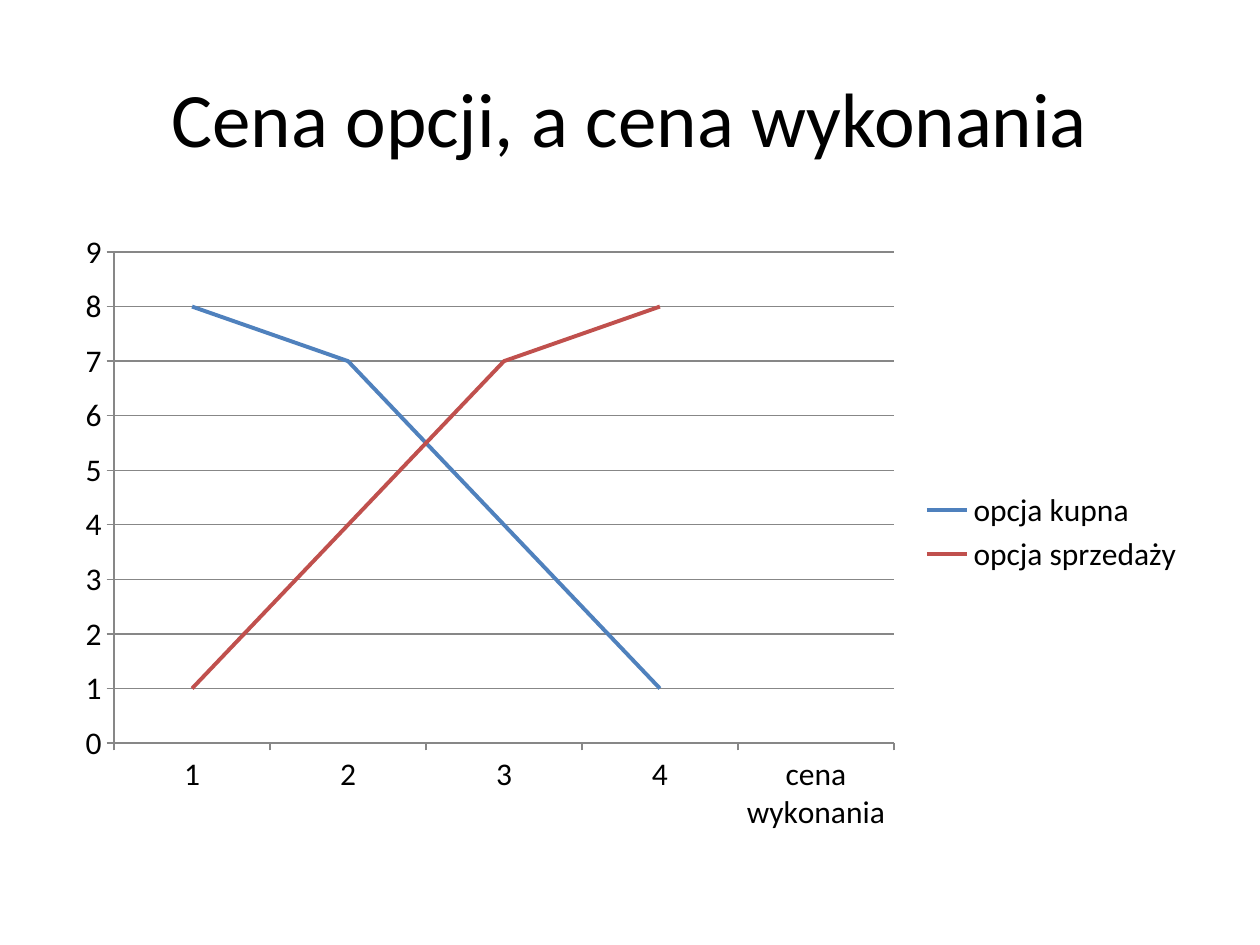
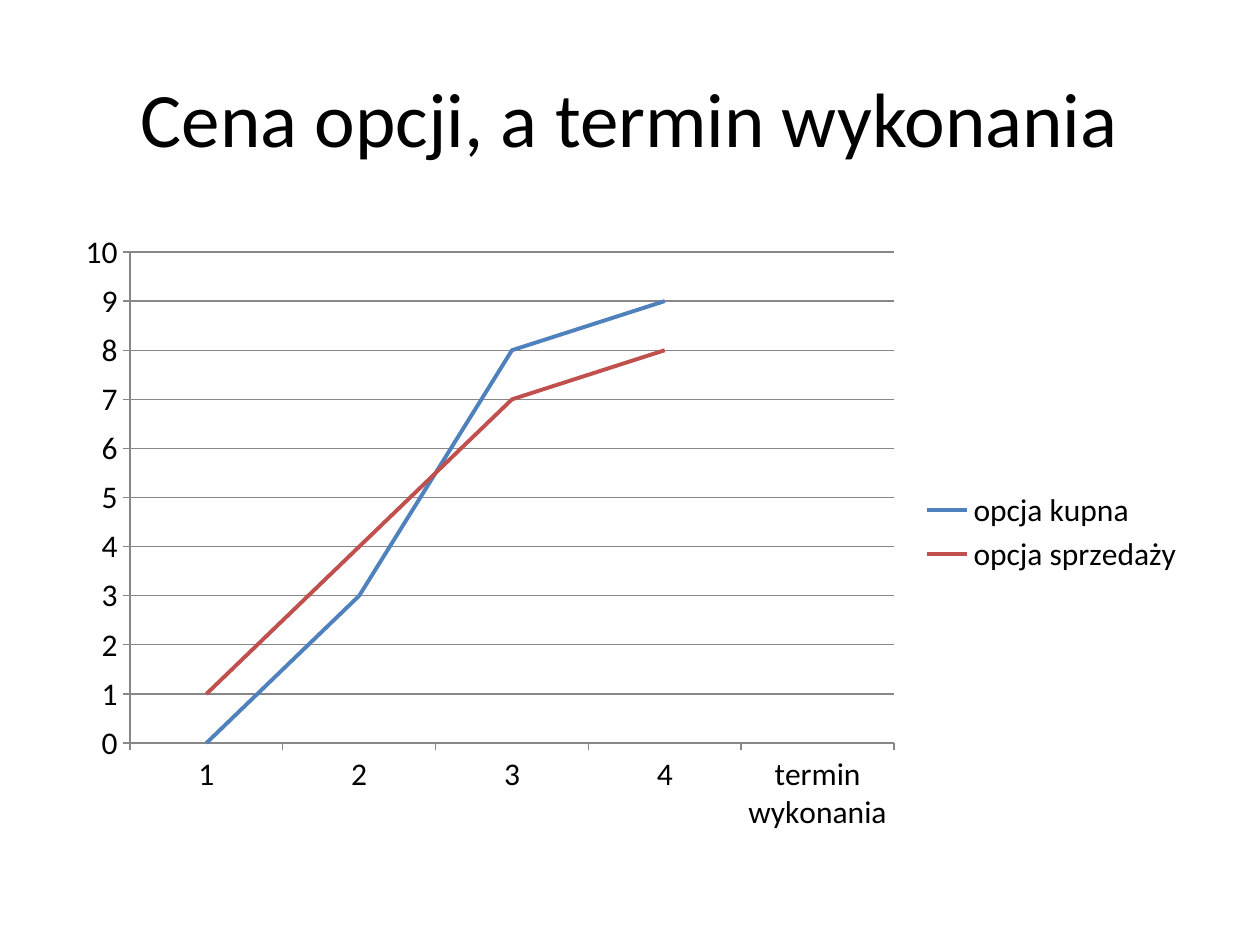
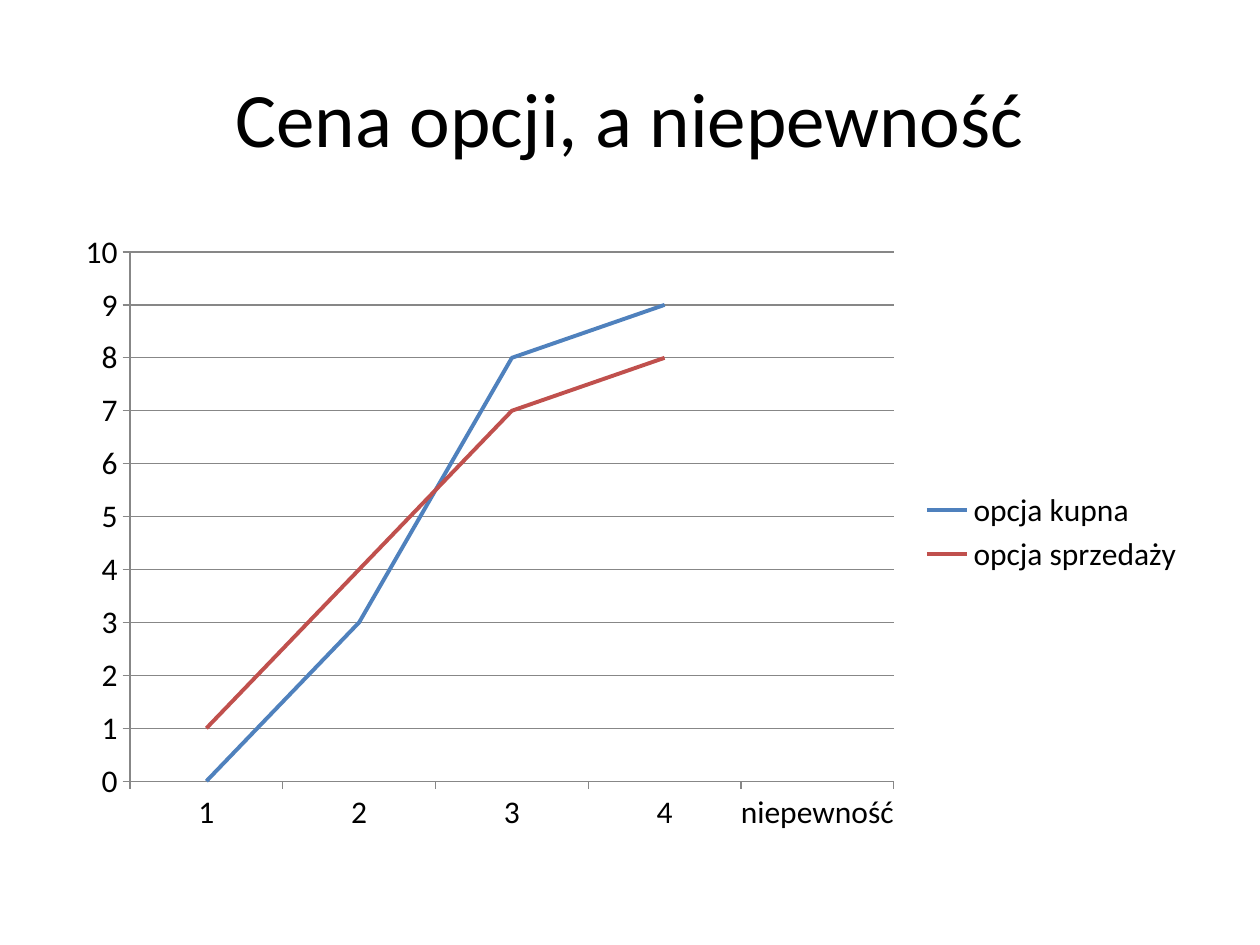
from dataclasses import dataclass

from pptx import Presentation
from pptx.chart.chart import Chart
from pptx.chart.data import CategoryChartData
from pptx.dml.color import RGBColor
from pptx.dml.line import LineFormat
from pptx.enum.chart import XL_CHART_TYPE as ChartType
from pptx.enum.chart import XL_LEGEND_POSITION as LegendPosition
from pptx.enum.chart import XL_TICK_MARK as TickMark
from pptx.enum.text import MSO_ANCHOR, PP_ALIGN
from pptx.slide import Slide
from pptx.util import Inches, Pt


@dataclass(frozen=True)
class Theme:
    font: str = "Calibri"
    background: RGBColor = RGBColor(0xFF, 0xFF, 0xFF)
    text: RGBColor = RGBColor(0x00, 0x00, 0x00)
    axis: RGBColor = RGBColor(0x87, 0x87, 0x87)
    call: RGBColor = RGBColor(0x4F, 0x81, 0xBD)
    put: RGBColor = RGBColor(0xC0, 0x50, 0x4D)
    title_size: Pt = Pt(44)
    chart_size: Pt = Pt(18)
    axis_width: Pt = Pt(0.75)
    series_width: Pt = Pt(2.25)


@dataclass(frozen=True)
class OptionPage:
    factor: str
    call_prices: tuple[int, ...]
    put_prices: tuple[int, ...] = (1, 4, 7, 8)


THEME = Theme()
LEFT, WIDTH = Inches(0.5), Inches(9)
TITLE_TOP, TITLE_HEIGHT = Inches(0.3), Inches(1.25)
CHART_TOP, CHART_HEIGHT = Inches(1.75), Inches(4.95)

PAGES = (
    OptionPage("cena wykonania", (8, 7, 4, 1)),
    OptionPage("termin wykonania", (0, 3, 8, 9)),
    OptionPage("niepewność", (0, 3, 8, 9)),
)


def add_title(page: Slide, text: str) -> None:
    box = page.shapes.add_textbox(LEFT, TITLE_TOP, WIDTH, TITLE_HEIGHT)
    frame = box.text_frame
    frame.word_wrap = True
    frame.vertical_anchor = MSO_ANCHOR.MIDDLE
    para = frame.paragraphs[0]
    para.alignment = PP_ALIGN.CENTER
    span = para.add_run()
    span.text = text
    span.font.name = THEME.font
    span.font.size = THEME.title_size
    span.font.color.rgb = THEME.text


def style_line(line: LineFormat, color: RGBColor, width: Pt) -> None:
    line.color.rgb = color
    line.width = width


def style_chart(chart: Chart) -> None:
    chart.has_title = False
    chart.font.name = THEME.font
    chart.font.size = THEME.chart_size
    chart.font.color.rgb = THEME.text
    chart.has_legend = True
    chart.legend.position = LegendPosition.RIGHT
    chart.legend.include_in_layout = False
    chart.value_axis.has_major_gridlines = True
    gridlines = chart.value_axis.major_gridlines
    for axis in (chart.category_axis, chart.value_axis):
        axis.major_tick_mark = TickMark.OUTSIDE
        axis.minor_tick_mark = TickMark.NONE
    for part in (chart.category_axis, chart.value_axis, gridlines):
        style_line(part.format.line, THEME.axis, THEME.axis_width)
    plot = chart.plots[0]
    plot.vary_by_categories = False
    for series, color in zip(plot.series, (THEME.call, THEME.put)):
        series.smooth = False
        style_line(series.format.line, color, THEME.series_width)


def add_price_chart(page: Slide, option: OptionPage) -> None:
    """Plot both option prices; the last, empty category names the factor."""
    data = CategoryChartData()
    data.categories = ["1", "2", "3", "4", option.factor]
    data.add_series("opcja kupna", (*option.call_prices, None))
    data.add_series("opcja sprzedaży", (*option.put_prices, None))
    chart = page.shapes.add_chart(
        ChartType.LINE, LEFT, CHART_TOP, WIDTH, CHART_HEIGHT, data
    ).chart
    style_chart(chart)
    chart.value_axis.minimum_scale = 0
    chart.value_axis.maximum_scale = max(option.call_prices + option.put_prices) + 1
    chart.value_axis.major_unit = 1


def main() -> None:
    deck = Presentation()
    deck.slide_width, deck.slide_height = Inches(10), Inches(7.5)
    for option in PAGES:
        page = deck.slides.add_slide(deck.slide_layouts[6])
        page.background.fill.solid()
        page.background.fill.fore_color.rgb = THEME.background
        add_title(page, f"Cena opcji, a {option.factor}")
        add_price_chart(page, option)
    deck.save("out.pptx")


if __name__ == "__main__":
    main()
